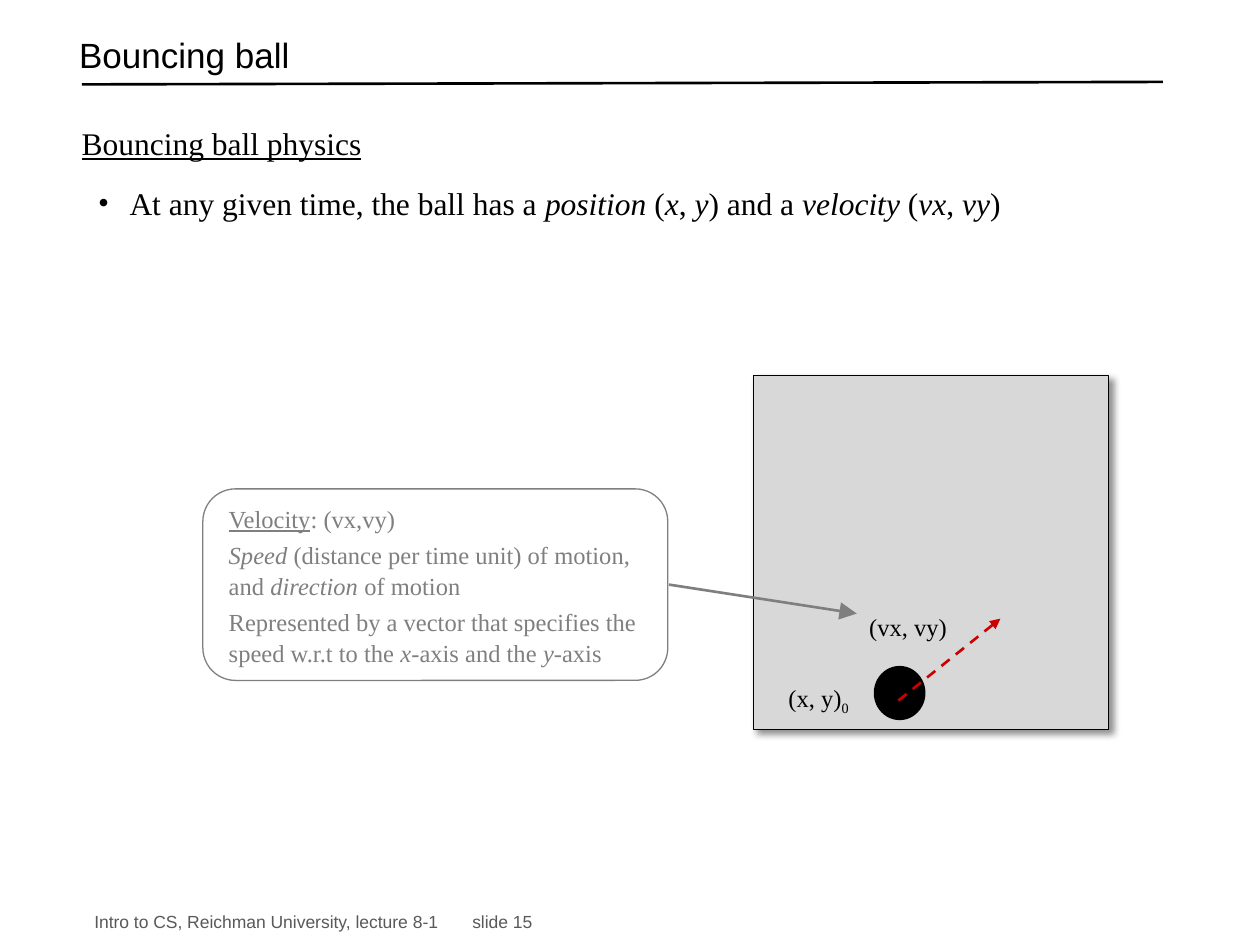
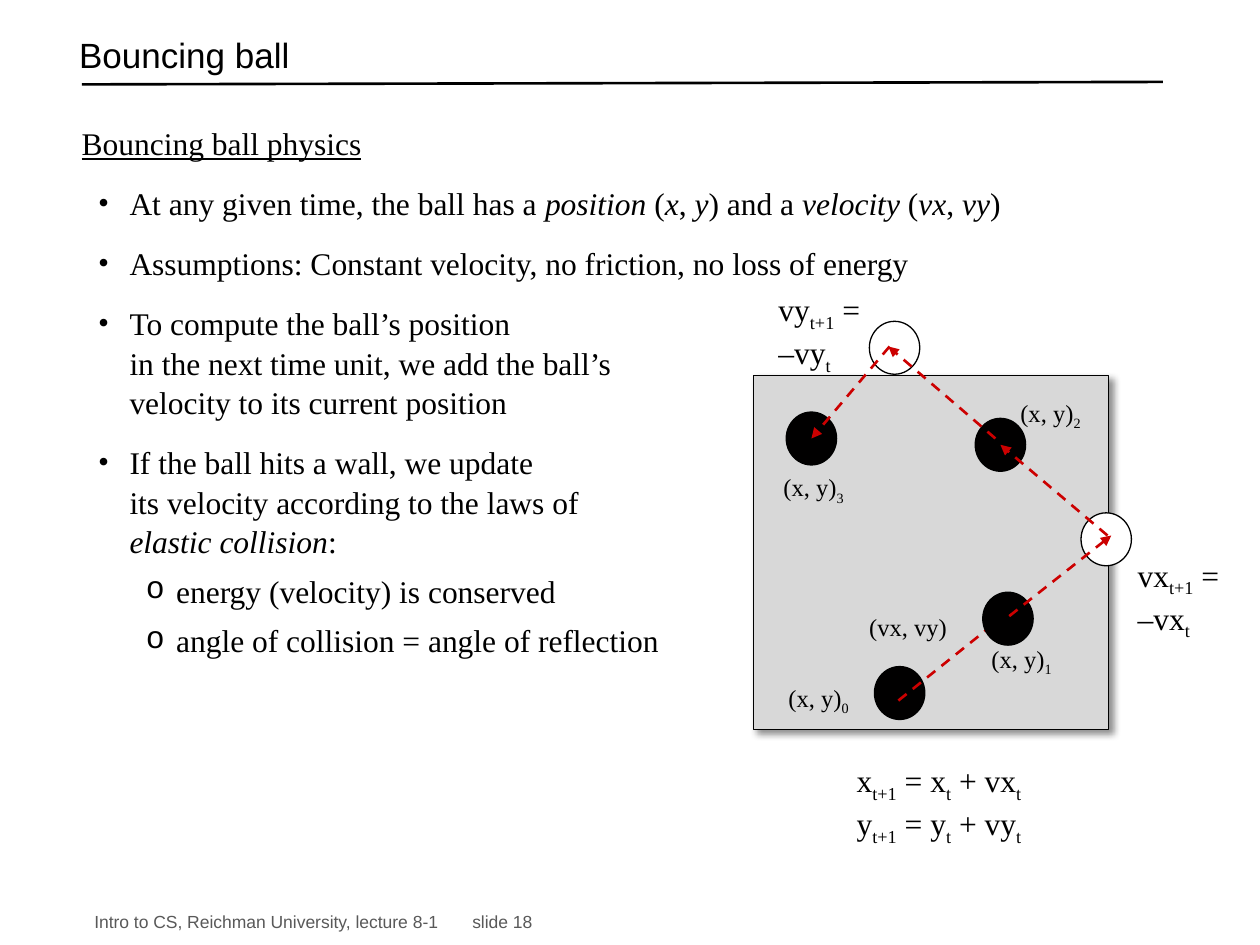
import pptx
import pptx.dml.color
import pptx.enum.dml
import pptx.enum.shapes
import pptx.enum.text
import pptx.oxml
import pptx.oxml.ns
import pptx.util
from dataclasses import dataclass
from pptx.util import Inches

# Text marks: *italic*, _underlined_, ~subscript~
TITLE = "Bouncing ball"
FOOTER = "Intro to CS, Reichman University, lecture 8-1"
HEADING = ("heading", "_Bouncing ball physics_")
STATE = ("bullet", "At any given time, the ball has a *position* (*x*, *y*) and a *velocity* (*vx*, *vy*)")
START = {
    "balls": [(6.94, 5.29, "ball")],
    "arrows": [(7.13, 5.56, 7.94, 4.91)],
    "labels": [("(vx, vy)", 6.8, 4.81), ("(x, y)~0~", 6.16, 5.37)],
}
BOUNCES = {
    "balls": [(7.8, 4.7, "ball"), (8.58, 4.07, "paper"), (7.74, 3.32, "ball"),
              (6.9, 2.55, "paper"), (6.24, 3.27, "ball")],
    "arrows": [(8.01, 4.89, 8.82, 4.25), (8.79, 4.25, 7.94, 3.53),
               (7.9, 3.48, 7.05, 2.75), (7.06, 2.75, 6.44, 3.48)],
    "labels": [("(x, y)~1~", 7.77, 5.06), ("(x, y)~2~", 8, 3.11), ("(x, y)~3~", 6.12, 3.7)],
}
VELOCITY_NOTE = [
    ("note", "_Velocity_: (vx,vy)"),
    ("note", "*Speed* (distance per time unit) of motion, and *direction* of motion"),
    ("note", "Represented by a vector that specifies the speed w.r.t to the *x*-axis and the *y*-axis"),
]
FORMULAS = [
    (["vx~t+1~ = –vx~t~"], (8.93, 4.36, 0.92, 0.71)),
    (["vy~t+1~ = –vy~t~"], (6.08, 2.25, 0.94, 0.71)),
    (["x~t+1~ = x~t~ + vx~t~", "y~t+1~ = y~t~ + vy~t~"], (6.7, 5.99, 2.08, 0.71)),
]
SLIDES = [
    {"number": 15, "body": [HEADING, STATE], "motions": [START],
     "note": VELOCITY_NOTE, "formulas": []},
    {"number": 18, "motions": [START, BOUNCES], "note": None, "formulas": FORMULAS,
     "body": [
         HEADING, STATE,
         ("bullet", "Assumptions: Constant velocity, no friction, no loss of energy"),
         ("bullet", "To compute the ball’s position\nin the next time unit, we add the ball’s\n"
                    "velocity to its current position"),
         ("bullet", "If the ball hits a wall, we update\nits velocity according to the laws of\n"
                    "*elastic collision*:"),
         ("subbullet", "energy (velocity) is conserved"),
         ("subbullet", "angle of collision = angle of reflection"),
     ]},
]


@dataclass(frozen=True)
class Theme:
    ink: str = "000000"
    ball: str = "010000"
    paper: str = "FFFFFF"
    field: str = "D8D8D8"
    arrow: str = "CC0000"
    note: str = "7F7F7F"
    footer: str = "595959"
    sans: str = "Arial"
    serif: str = "Times New Roman"
    title_size: float = 20
    body_size: float = 18
    label_size: float = 14
    footer_size: float = 10
    thin: float = 0.75
    thick: float = 1.5


THEME = Theme()
# Line spacing, space before (points), left margin, hanging indent (inches), bullet and its font
STYLES = {
    "plain": (1, 0, 0, 0, None),
    "title": (0.7, 0, 0, 0, None),
    "heading": (1.44, 0, 0, 0, None),
    "bullet": (1.04, 12, 0.38, -0.25, ("•", THEME.serif)),
    "subbullet": (1.04, 6, 0.75, -0.24, ("o", "Courier New")),
    "note": (1.05, 3, 0.01, 0, None),
}
MARKS = {"*": "italic", "_": "underline", "~": "subscript"}
BALL_SIZE = (0.4, 0.42)
MIDDLE = pptx.enum.text.MSO_ANCHOR.MIDDLE
SHAPES = pptx.enum.shapes.MSO_SHAPE


def rgb(value):
    return pptx.dml.color.RGBColor.from_string(value)


def append_xml(parent, xml):
    namespaces = pptx.oxml.ns.nsdecls("a")
    head, rest = xml.split(" ", 1)
    parent.append(pptx.oxml.parse_xml(f"{head} {namespaces} {rest}"))


def add_marked_runs(paragraph, text, font, size, color):
    """Turn marked text into runs and line breaks."""
    active = set()
    piece = ""

    def flush():
        if not piece:
            return
        run = paragraph.add_run()
        run.text = piece
        run.font.name = font
        run.font.size = pptx.util.Pt(size)
        run.font.color.rgb = rgb(color)
        run.font.italic = "italic" in active
        run.font.underline = "underline" in active
        if "subscript" in active:
            run.font._element.set("baseline", "-25000")

    for character in text:
        if character in MARKS or character == "\n":
            flush()
            piece = ""
            if character == "\n":
                paragraph.add_line_break()
            else:
                active ^= {MARKS[character]}
        else:
            piece += character
    flush()


def write_text(shape, paragraphs, font=THEME.serif, size=THEME.body_size, color=THEME.ink,
               anchor=pptx.enum.text.MSO_ANCHOR.TOP, tab=None):
    """Fill a shape with (style, marked text) paragraphs."""
    frame = shape.text_frame
    frame.word_wrap = True
    frame.vertical_anchor = anchor
    for index, (style, text) in enumerate(paragraphs):
        paragraph = frame.add_paragraph() if index else frame.paragraphs[0]
        spacing, before, margin, indent, bullet = STYLES[style]
        paragraph.alignment = pptx.enum.text.PP_ALIGN.LEFT
        paragraph.line_spacing = spacing
        if index:
            paragraph.space_before = pptx.util.Pt(before)
        properties = paragraph._p.get_or_add_pPr()
        properties.set("marL", str(Inches(margin)))
        properties.set("indent", str(Inches(indent)))
        if bullet:
            character, bullet_font = bullet
            append_xml(properties, f'<a:buClr ><a:srgbClr val="{THEME.ink}"/></a:buClr>')
            append_xml(properties, f'<a:buFont typeface="{bullet_font}"/>')
            append_xml(properties, f'<a:buChar char="{character}"/>')
        if tab:
            append_xml(properties, f'<a:tabLst ><a:tab pos="{Inches(tab)}" algn="l"/></a:tabLst>')
        add_marked_runs(paragraph, text, font, size, color)


def add_text(slide, paragraphs, box, **text_format):
    shape = slide.shapes.add_textbox(*map(Inches, box))
    write_text(shape, paragraphs, **text_format)


def add_shape(slide, kind, box, fill, line=THEME.ink):
    shape = slide.shapes.add_shape(kind, *map(Inches, box))
    shape.shadow.inherit = False
    shape.fill.solid()
    shape.fill.fore_color.rgb = rgb(fill)
    shape.line.color.rgb = rgb(line)
    shape.line.width = pptx.util.Pt(THEME.thin)
    return shape


def add_line(slide, ends, color, dashed=False, head=None):
    """Draw a straight line; head is the arrowhead size, med or lg."""
    line = slide.shapes.add_connector(
        pptx.enum.shapes.MSO_CONNECTOR.STRAIGHT, *map(Inches, ends))
    line.line.color.rgb = rgb(color)
    line.line.width = pptx.util.Pt(THEME.thick)
    if dashed:
        line.line.dash_style = pptx.enum.dml.MSO_LINE.DASH
    if head:
        append_xml(line.line._get_or_add_ln(),
                   f'<a:tailEnd type="triangle" w="{head}" len="{head}"/>')
    append_xml(line._element.spPr, "<a:effectLst />")


def add_frame(slide, number):
    """Add the title, its rule and the footer."""
    add_line(slide, (0.65, 0.67, 9.23, 0.65), THEME.ink)
    add_text(slide, [("plain", f"{FOOTER}\tslide {number}")], (0.65, 7.19, 8.6, 0.25),
             font=THEME.sans, size=THEME.footer_size, color=THEME.footer,
             anchor=MIDDLE, tab=7.45)
    add_text(slide, [("title", TITLE)], (0.53, 0.22, 8.6, 0.5),
             font=THEME.sans, size=THEME.title_size, anchor=MIDDLE)


def add_field(slide):
    field = add_shape(slide, SHAPES.RECTANGLE, (5.98, 2.98, 2.82, 2.81), THEME.field)
    effects = field._element.spPr.find(pptx.oxml.ns.qn("a:effectLst"))
    append_xml(effects, '<a:outerShdw blurRad="50800" dist="38100" dir="2700000" algn="tl">'
                        f'<a:srgbClr val="{THEME.ink}"><a:alpha val="43000"/></a:srgbClr>'
                        '</a:outerShdw>')


def add_motion(slide, motion):
    for left, top, fill in motion["balls"]:
        add_shape(slide, SHAPES.OVAL, (left, top, *BALL_SIZE), getattr(THEME, fill))
    for ends in motion["arrows"]:
        add_line(slide, ends, THEME.arrow, dashed=True, head="med")
    for text, left, top in motion["labels"]:
        add_text(slide, [("plain", text)], (left, top, 0.9, 0.34), size=THEME.label_size)


def add_note(slide, paragraphs):
    callout = add_shape(slide, SHAPES.ROUNDED_RECTANGULAR_CALLOUT, (1.61, 3.88, 3.69, 1.52),
                        THEME.paper, THEME.note)
    for index, value in enumerate((-0.19, 0.5, 0.17)):
        callout.adjustments[index] = value
    callout.text_frame.margin_left = Inches(0.12)
    callout.text_frame.margin_right = Inches(0.08)
    write_text(callout, paragraphs, size=THEME.label_size, color=THEME.note, anchor=MIDDLE)
    add_line(slide, (5.31, 4.64, 6.8, 4.87), THEME.note, head="lg")


def main():
    presentation = pptx.Presentation()
    presentation.slide_width = Inches(10)
    presentation.slide_height = Inches(7.5)
    for content in SLIDES:
        slide = presentation.slides.add_slide(presentation.slide_layouts[6])
        add_frame(slide, content["number"])
        add_field(slide)
        for motion in content["motions"]:
            add_motion(slide, motion)
        add_text(slide, content["body"], (0.55, 0.8, 8.6, 4.78))
        if content["note"]:
            add_note(slide, content["note"])
        for lines, box in content["formulas"]:
            add_text(slide, [("plain", line) for line in lines], box)
    presentation.save("out.pptx")


if __name__ == "__main__":
    main()
